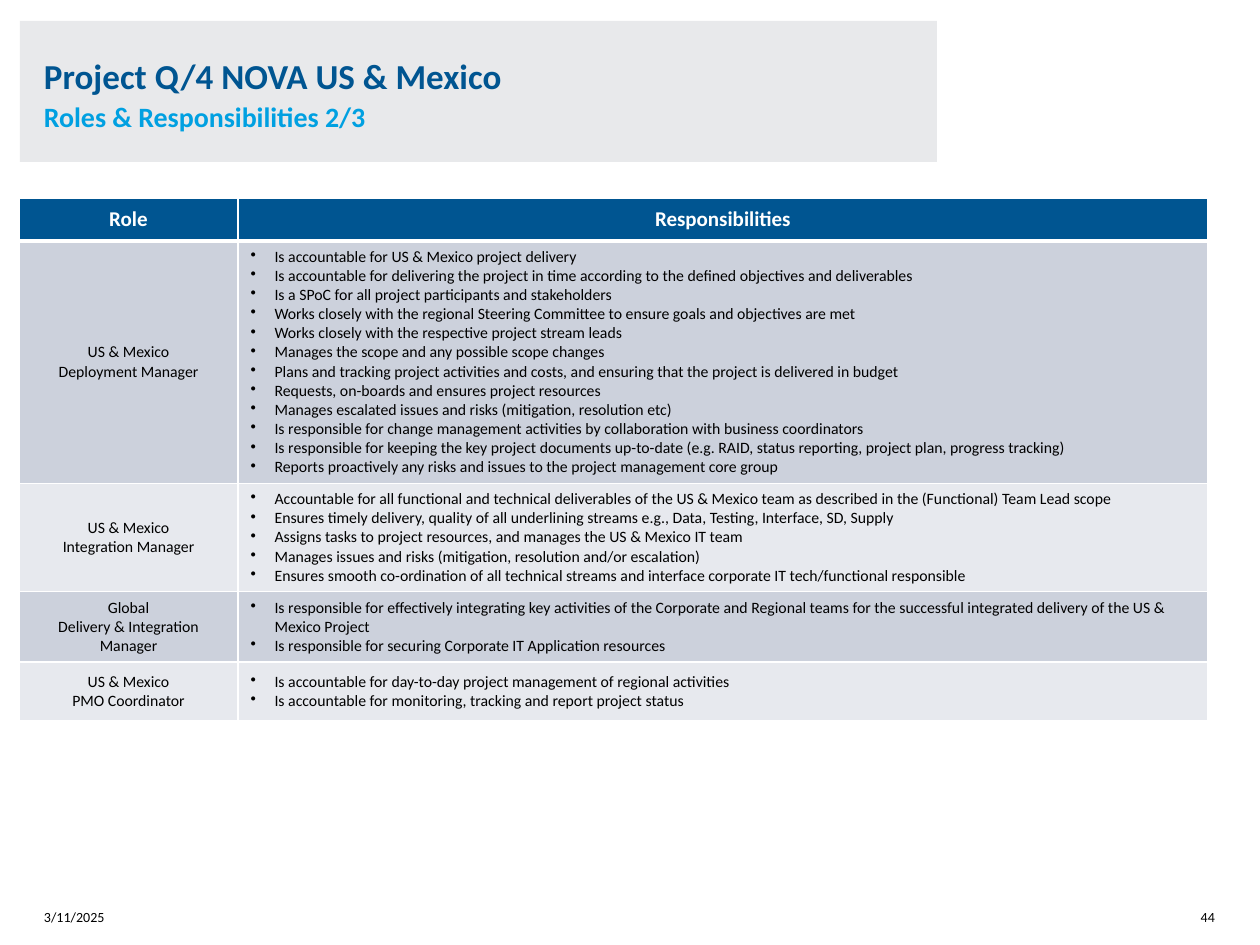
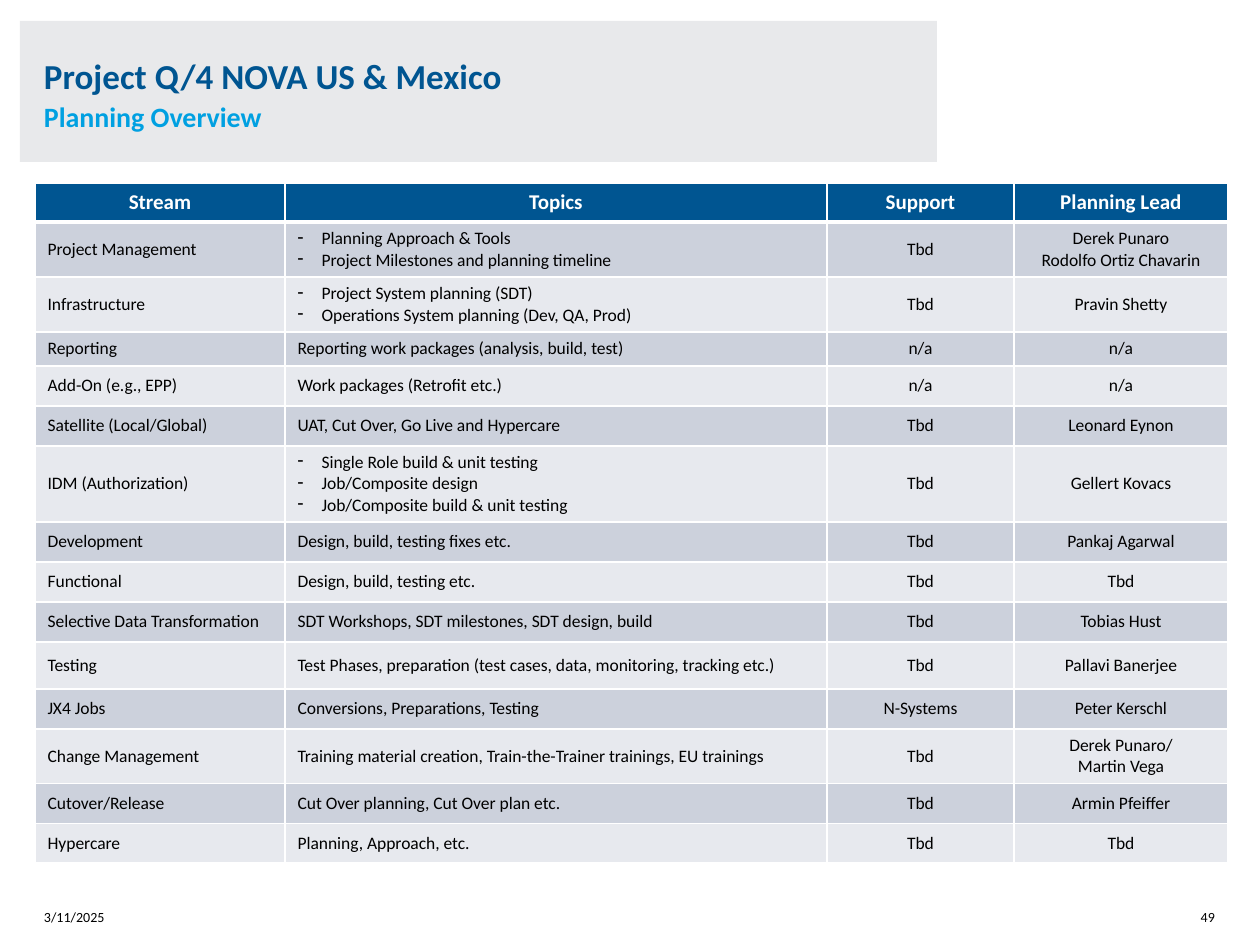
from lxml.etree import SubElement
from pptx import Presentation
from pptx.dml.color import RGBColor
from pptx.enum.shapes import MSO_SHAPE
from pptx.enum.text import MSO_ANCHOR, PP_ALIGN
from pptx.oxml.ns import qn
from pptx.util import Emu, Pt

# Shared style
PX = 914400 / 126
FONT = "Calibri"
NAVY = RGBColor(0x00, 0x55, 0x91)
SKY = RGBColor(0x00, 0xA0, 0xE1)
BAND_GREY = RGBColor(0xE8, 0xE9, 0xEB)
ROW_DARK = RGBColor(0xCC, 0xD1, 0xDC)
ROW_LIGHT = RGBColor(0xE7, 0xE9, 0xEE)
WHITE = RGBColor(0xFF, 0xFF, 0xFF)
BLACK = RGBColor(0x00, 0x00, 0x00)
LEFT, CENTER, RIGHT = PP_ALIGN.LEFT, PP_ALIGN.CENTER, PP_ALIGN.RIGHT

TITLE = "Project Q/4 NOVA US & Mexico"
DATE = "3/11/2025"
TITLE_BAND = (20, 21, 917, 141)
DATE_BOX = (44, 890, 100, 35)
NUMBER_BOX = (1166, 890, 49, 35)
INDENT = 24

# Content: a cell with several lines is a list
ROLES = [
    (["US & Mexico", "Deployment Manager"], [
        "Is accountable for US & Mexico project delivery",
        "Is accountable for delivering the project in time according to the defined objectives and deliverables",
        "Is a SPoC for all project participants and stakeholders",
        "Works closely with the regional Steering Committee to ensure goals and objectives are met",
        "Works closely with the respective project stream leads",
        "Manages the scope and any possible scope changes",
        "Plans and tracking project activities and costs, and ensuring that the project is delivered in budget",
        "Requests, on-boards and ensures project resources",
        "Manages escalated issues and risks (mitigation, resolution etc)",
        "Is responsible for change management activities by collaboration with business coordinators",
        "Is responsible for keeping the key project documents up-to-date "
        "(e.g. RAID, status reporting, project plan, progress tracking)",
        "Reports proactively any risks and issues to the project management core group",
    ]),
    (["US & Mexico", "Integration Manager"], [
        "Accountable for all functional and technical deliverables of the US & Mexico team "
        "as described in the (Functional) Team Lead scope",
        "Ensures timely delivery, quality of all underlining streams e.g., Data, Testing, Interface, SD, Supply",
        "Assigns tasks to project resources, and manages the US & Mexico IT team",
        "Manages issues and risks (mitigation, resolution and/or escalation)",
        "Ensures smooth co-ordination of all technical streams and interface corporate IT tech/functional responsible",
    ]),
    (["Global", "Delivery & Integration", "Manager"], [
        "Is responsible for effectively integrating key activities of the Corporate and Regional teams "
        "for the successful integrated delivery of the US & Mexico Project",
        "Is responsible for securing Corporate IT Application resources",
    ]),
    (["US & Mexico", "PMO Coordinator"], [
        "Is accountable for day-to-day project management of regional activities",
        "Is accountable for monitoring, tracking and report project status",
    ]),
]

STREAMS = [
    ("Project Management", ["Planning Approach & Tools", "Project Milestones and planning timeline"],
     "Tbd", ["Derek Punaro", "Rodolfo Ortiz Chavarin"]),
    ("Infrastructure", ["Project System planning (SDT)", "Operations System planning (Dev, QA, Prod)"],
     "Tbd", "Pravin Shetty"),
    ("Reporting", "Reporting work packages (analysis, build, test)", "n/a", "n/a"),
    ("Add-On (e.g., EPP)", "Work packages (Retrofit etc.)", "n/a", "n/a"),
    ("Satellite (Local/Global)", "UAT, Cut Over, Go Live and Hypercare", "Tbd", "Leonard Eynon"),
    ("IDM (Authorization)",
     ["Single Role build & unit testing", "Job/Composite design", "Job/Composite build & unit testing"],
     "Tbd", "Gellert Kovacs"),
    ("Development", "Design, build, testing fixes etc.", "Tbd", "Pankaj Agarwal"),
    ("Functional", "Design, build, testing etc.", "Tbd", "Tbd"),
    ("Selective Data Transformation", "SDT Workshops, SDT milestones, SDT design, build",
     "Tbd", "Tobias Hust"),
    ("Testing", "Test Phases, preparation (test cases, data, monitoring, tracking etc.)",
     "Tbd", "Pallavi Banerjee"),
    ("JX4 Jobs", "Conversions, Preparations, Testing", "N-Systems", "Peter Kerschl"),
    ("Change Management", "Training material creation, Train-the-Trainer trainings, EU trainings",
     "Tbd", ["Derek Punaro/", "Martin Vega"]),
    ("Cutover/Release", "Cut Over planning, Cut Over plan etc.", "Tbd", "Armin Pfeiffer"),
    ("Hypercare", "Planning, Approach, etc.", "Tbd", "Tbd"),
]

SLIDES = [
    dict(subtitle="Roles & Responsibilities 2/3", number="44", origin=(19, 198),
         header=("Role", "Responsibilities"), rows=ROLES,
         widths=(219, 970), heights=(43, 242, 108, 70, 59),
         aligns=(CENTER, LEFT), bullet="•", size=9),
    dict(subtitle="Planning Overview", number="49", origin=(35, 183),
         header=("Stream", "Topics", "Support", "Planning Lead"), rows=STREAMS,
         widths=(250, 542, 187, 214),
         heights=(39, 55, 55, 34, 40, 40, 76, 40, 40, 40, 47, 40, 55, 40, 39),
         aligns=(LEFT, LEFT, CENTER, CENTER), bullet="-", size=10),
]


def px(*lengths):
    return [Emu(round(length * PX)) for length in lengths]


def write(frame, text, size, color=BLACK, bold=False, align=LEFT, bullet=None,
          spacing=None, append=False):
    """Write one line, or a list of lines, one paragraph each."""
    lines = [text] if isinstance(text, str) else text
    for i, line in enumerate(lines):
        paragraph = frame.add_paragraph() if append or i else frame.paragraphs[0]
        if bullet:
            properties = paragraph._p.get_or_add_pPr()
            indent = px(INDENT)[0]
            properties.set("marL", str(indent))
            properties.set("indent", str(-indent))
            SubElement(properties, qn("a:buChar"), char=bullet)
        paragraph.alignment = align
        if spacing:
            paragraph.line_spacing = spacing
        run = paragraph.add_run()
        run.text = line
        font = run.font
        font.name, font.size, font.bold = FONT, Pt(size), bold
        font.color.rgb = color


def set_margins(frame, side=0):
    frame.margin_left = frame.margin_right = px(side)[0]
    frame.margin_top = frame.margin_bottom = 0
    frame.word_wrap = True


def add_title(slide, subtitle):
    band = slide.shapes.add_shape(MSO_SHAPE.RECTANGLE, *px(*TITLE_BAND))
    band.shadow.inherit = False
    band.fill.solid()
    band.fill.fore_color.rgb = BAND_GREY
    band.line.fill.background()
    frame = band.text_frame
    set_margins(frame, INDENT)
    frame.vertical_anchor = MSO_ANCHOR.MIDDLE
    write(frame, TITLE, 20, color=NAVY, bold=True, spacing=1.1)
    write(frame, subtitle, 16, color=SKY, bold=True, spacing=1.1, append=True)


def add_footer(slide, box, text, align):
    frame = slide.shapes.add_textbox(*px(*box)).text_frame
    set_margins(frame)
    frame.vertical_anchor = MSO_ANCHOR.BOTTOM
    write(frame, text, 8, align=align)


def style_cell(cell, fill, top, bottom):
    """White borders (widths in points) go before the fill."""
    properties = cell._tc.get_or_add_tcPr()
    for side, width in (("L", 1), ("R", 1), ("T", top), ("B", bottom)):
        border = SubElement(properties, qn(f"a:ln{side}"), w=str(Pt(width)))
        solid = SubElement(border, qn("a:solidFill"))
        SubElement(solid, qn("a:srgbClr"), val=str(WHITE))
    cell.fill.solid()
    cell.fill.fore_color.rgb = fill
    cell.vertical_anchor = MSO_ANCHOR.MIDDLE


def add_grid(slide, page):
    widths, heights = page["widths"], page["heights"]
    table = slide.shapes.add_table(
        len(heights), len(widths),
        *px(*page["origin"], sum(widths), sum(heights))).table
    table.first_row = table.horz_banding = False
    for column, width in zip(table.columns, px(*widths)):
        column.width = width
    for row, height in zip(table.rows, px(*heights)):
        row.height = height

    for c, heading in enumerate(page["header"]):
        cell = table.cell(0, c)
        style_cell(cell, NAVY, top=1, bottom=3)
        write(cell.text_frame, heading, 12, color=WHITE, bold=True, align=CENTER)

    # Second column: several lines form a bulleted list
    for r, values in enumerate(page["rows"], 1):
        for c, (value, align) in enumerate(zip(values, page["aligns"])):
            cell = table.cell(r, c)
            style_cell(cell, ROW_DARK if r % 2 else ROW_LIGHT,
                       top=3 if r == 1 else 1, bottom=1)
            bullet = page["bullet"] if c == 1 and isinstance(value, list) else None
            write(cell.text_frame, value, page["size"], align=align, bullet=bullet)


def main():
    deck = Presentation()
    deck.slide_width, deck.slide_height = px(1260, 945)
    for page in SLIDES:
        slide = deck.slides.add_slide(deck.slide_layouts[6])
        add_title(slide, page["subtitle"])
        add_grid(slide, page)
        add_footer(slide, DATE_BOX, DATE, LEFT)
        add_footer(slide, NUMBER_BOX, page["number"], RIGHT)
    deck.save("out.pptx")


if __name__ == "__main__":
    main()
